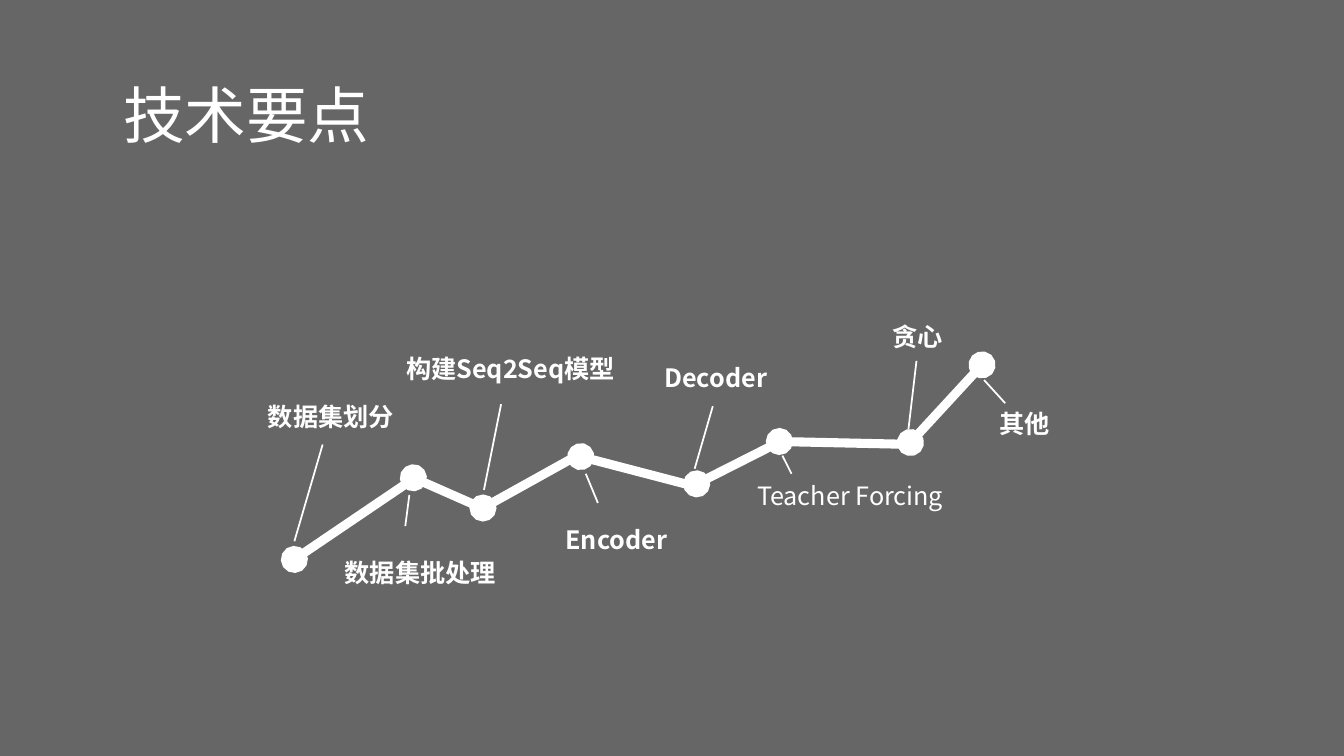
from lxml import etree
from pptx import Presentation
from pptx.dml.color import RGBColor
from pptx.enum.shapes import MSO_CONNECTOR, MSO_SHAPE
from pptx.enum.text import MSO_ANCHOR, MSO_AUTO_SIZE, PP_ALIGN
from pptx.oxml.ns import qn
from pptx.util import Inches, Pt

STRAIGHT = MSO_CONNECTOR.STRAIGHT
RECTANGLE = MSO_SHAPE.RECTANGLE
TOP = MSO_ANCHOR.TOP
GROW = MSO_AUTO_SIZE.SHAPE_TO_FIT_TEXT
LEFT = PP_ALIGN.LEFT

WIDTH, HEIGHT = 13.33, 7.5

TREND = [
    (2.92, 5.55, 4.13, 4.73),
    (4.10, 4.74, 4.78, 5.04),
    (4.79, 5.04, 5.76, 4.50),
    (5.76, 4.53, 6.91, 4.83),
    (6.91, 4.80, 7.78, 4.36),
    (7.73, 4.38, 9.09, 4.41),
    (9.03, 4.39, 9.74, 3.62),
]
LEADERS = [
    (2.92, 5.37, 3.20, 4.41),
    (4.80, 4.86, 4.97, 4.01),
    (6.89, 4.65, 7.07, 4.03),
    (9.01, 4.26, 9.09, 3.58),
    (9.97, 4.00, 9.76, 3.77),
    (7.85, 4.70, 7.76, 4.52),
    (5.93, 4.99, 5.81, 4.70),
    (4.02, 5.22, 4.06, 4.91),
]
BOLD = {"bold": True}
LABELS = [
    ("数据集划分", (2.56, 3.93, 1.46, 0.4), BOLD),
    ("构建Seq2Seq模型", (3.93, 3.46, 2.3, 0.4), {"bold": True, "wrap": True}),
    ("Decoder", (6.49, 3.55, 1.27, 0.4), BOLD),
    ("贪心", (8.75, 3.14, 0.71, 0.4), BOLD),
    ("其他", (9.81, 4.0, 0.71, 0.4), BOLD),
    ("Teacher Forcing", (7.41, 4.84, 2.15, 0.3), {"wrap": True, "spacing": Pt(12.8)}),
    ("Encoder", (5.51, 5.15, 1.23, 0.4), BOLD),
    ("数据集批处理", (3.32, 5.48, 1.72, 0.4), BOLD),
]


def color(value):
    return RGBColor.from_string(value)


class SlideBuilder:
    font_name = "Noto Sans CJK SC"
    ink = "FFFFFF"

    def __init__(self, slide):
        self.slide = slide

    def overlay(self, fill, opacity):
        """Cover the slide with a translucent rectangle behind everything else."""
        shape = self.slide.shapes.add_shape(
            RECTANGLE, 0, 0, Inches(WIDTH), Inches(HEIGHT))
        shape.shadow.inherit = False
        shape.fill.solid()
        shape.fill.fore_color.rgb = color(fill)
        shape.line.fill.background()
        fill_color = shape.element.spPr.find(qn("a:solidFill"))[0]
        etree.SubElement(fill_color, qn("a:alpha"), val=str(opacity * 1000))
        shape.element.getparent().insert(2, shape.element)

    def line(self, shapes, points, width, ends=()):
        connector = shapes.add_connector(STRAIGHT, *map(Inches, points))
        connector.line.color.rgb = color(self.ink)
        connector.line.width = Pt(width)
        properties = connector.element.spPr
        for end in ends:
            etree.SubElement(properties.get_or_add_ln(), qn(end), type="oval")
        etree.SubElement(properties, qn("a:effectLst"))

    def set_text(self, shape, text, size, bold=False, wrap=False, spacing=None):
        frame = shape.text_frame
        frame.text = text
        frame_format = {"word_wrap": wrap, "auto_size": GROW, "vertical_anchor": TOP}
        paragraph = frame.paragraphs[0]
        run = paragraph.runs[0]
        font_format = {"name": self.font_name, "size": Pt(size), "bold": bold}
        for target, values in (
            (frame, frame_format),
            (paragraph, {"alignment": LEFT, "line_spacing": spacing}),
            (run.font, font_format),
        ):
            for name, value in values.items():
                setattr(target, name, value)
        run.font.color.rgb = color(self.ink)
        run_properties = next(shape.element.iter(qn("a:rPr")))
        etree.SubElement(run_properties, qn("a:ea"), typeface=self.font_name)

    def label(self, text, box, style):
        shape = self.slide.shapes.add_textbox(*map(Inches, box))
        self.set_text(shape, text, 18, **style)

    def title(self, text, box):
        shape = self.slide.shapes.title
        for name, value in zip(("left", "top", "width", "height"), box):
            setattr(shape, name, Inches(value))
        self.set_text(shape, text, 44, wrap=True)


def main():
    presentation = Presentation()
    presentation.slide_width = Inches(WIDTH)
    presentation.slide_height = Inches(HEIGHT)
    slide = presentation.slides.add_slide(presentation.slide_layouts[5])
    builder = SlideBuilder(slide)

    builder.overlay("000000", 60)
    builder.title("技术要点", (1.12, 0.71, 2.8, 0.84))
    trend = slide.shapes.add_group_shape()
    for points in TREND:
        ends = ["a:headEnd"]
        if points == TREND[-1]:
            ends.append("a:tailEnd")
        builder.line(trend.shapes, points, 6.5, ends)
    for points in LEADERS:
        builder.line(slide.shapes, points, 1.25)
    for text, box, style in LABELS:
        builder.label(text, box, style)

    presentation.save("out.pptx")


if __name__ == "__main__":
    main()
